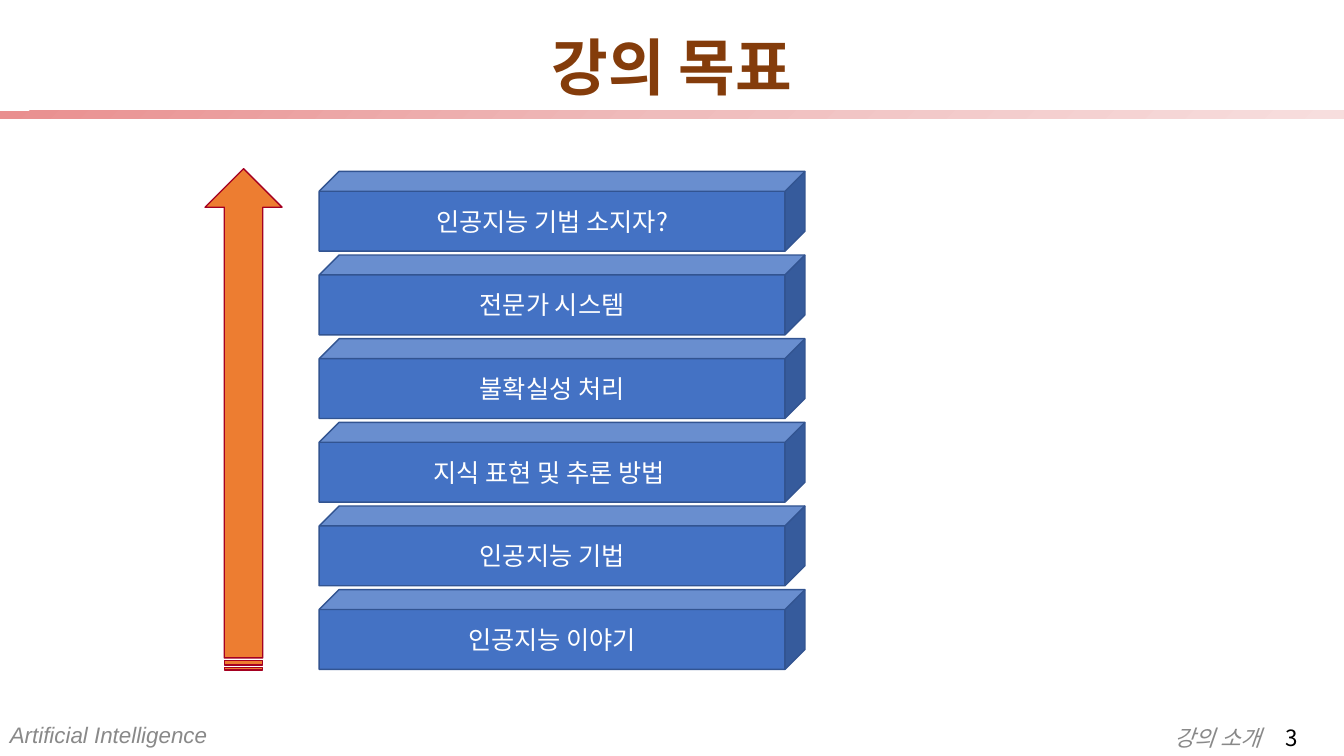
from copy import deepcopy

from pptx import Presentation
from pptx.dml.color import RGBColor
from pptx.enum.shapes import MSO_SHAPE
from pptx.enum.text import MSO_ANCHOR, PP_ALIGN
from pptx.oxml.ns import qn
from pptx.util import Pt

KOREAN = "Noto Sans CJK KR"
TITLE = {"name": "Arial", "size": Pt(44), "bold": True}
FOOTER = {"name": "Arial", "size": Pt(16), "italic": True}
PAGE = {"name": KOREAN, "size": Pt(16)}
STEP = {"name": KOREAN, "size": Pt(18)}
STEPS = ["인공지능 기법 소지자?", "전문가 시스템", "불확실성 처리",
         "지식 표현 및 추론 방법 ", "인공지능 기법", "인공지능 이야기"]


def rgb(value):
    """Turn a hex string into a colour."""
    return RGBColor.from_string(value)


def write(sp, text, font, color, align=PP_ALIGN.CENTER, spacing=1.0):
    """Put one formatted line of text into a shape."""
    tf = sp.text_frame
    tf.vertical_anchor = MSO_ANCHOR.MIDDLE
    p = tf.paragraphs[0]
    p.alignment, p.line_spacing = align, spacing
    r = p.add_run()
    r.text = text
    for key, value in font.items():
        setattr(r.font, key, value)
    r.font.color.rgb = rgb(color)


def add_label(s, box, text, font, color, align=PP_ALIGN.LEFT, wrap=False):
    """Add a plain text box."""
    sp = s.shapes.add_textbox(*map(Pt, box))
    sp.text_frame.word_wrap = wrap
    write(sp, text, font, color, align, 0.9)


def add_block(s, kind, box, fill, line):
    """Add a filled and outlined preset shape."""
    sp = s.shapes.add_shape(kind, *map(Pt, box))
    sp.shadow.inherit = False
    sp.fill.solid()
    sp.fill.fore_color.rgb = rgb(fill)
    sp.line.color.rgb = rgb(line)
    sp.line.width = Pt(1)
    return sp


def add_gradient_bar(s, box, colors, angle):
    """Add a borderless bar with evenly spaced gradient stops."""
    sp = s.shapes.add_shape(MSO_SHAPE.RECTANGLE, *map(Pt, box))
    sp.shadow.inherit = False
    sp.line.fill.background()
    sp.fill.gradient()
    sp.fill.gradient_angle = angle
    stops = sp._element.spPr.find(".//" + qn("a:gsLst"))
    while len(stops) < len(colors):
        stops.append(deepcopy(stops[0]))
    for i, (stop, color) in enumerate(zip(sp.fill.gradient_stops, colors)):
        stop.position = i / (len(colors) - 1)
        stop.color.rgb = rgb(color)


def main():
    """Build the lecture goals slide."""
    prs = Presentation()
    prs.slide_width, prs.slide_height = Pt(960), Pt(540)
    s = prs.slides.add_slide(prs.slide_layouts[6])
    add_label(s, (0, 513.4, 164, 24.5), "Artificial Intelligence", FOOTER, "898989")
    add_label(s, (831.6, 515.5, 80, 24.5), "강의 소개", FOOTER, "898989")
    add_label(s, (911.5, 515.5, 45, 24.5), "3", PAGE, "000000")
    add_gradient_bar(s, (0, 79, 960, 6), ["E98F8F", "EFBCBC", "F7DEDE"], 315)
    add_label(s, (66, 28.8, 828, 43.2), "강의 목표", TITLE, "843C0B",
              PP_ALIGN.CENTER, True)
    arrow = add_block(s, MSO_SHAPE.STRIPED_RIGHT_ARROW, (-5, 272, 358, 55),
                      "ED7D31", "A50021")
    arrow.rotation = 270
    for i, step in enumerate(STEPS):
        cube = add_block(s, MSO_SHAPE.CUBE, (228, 122.4 + i * 59.75, 347, 57),
                         "4472C4", "325491")
        write(cube, step, STEP, "FFFFFF")
    prs.save("out.pptx")


main()
